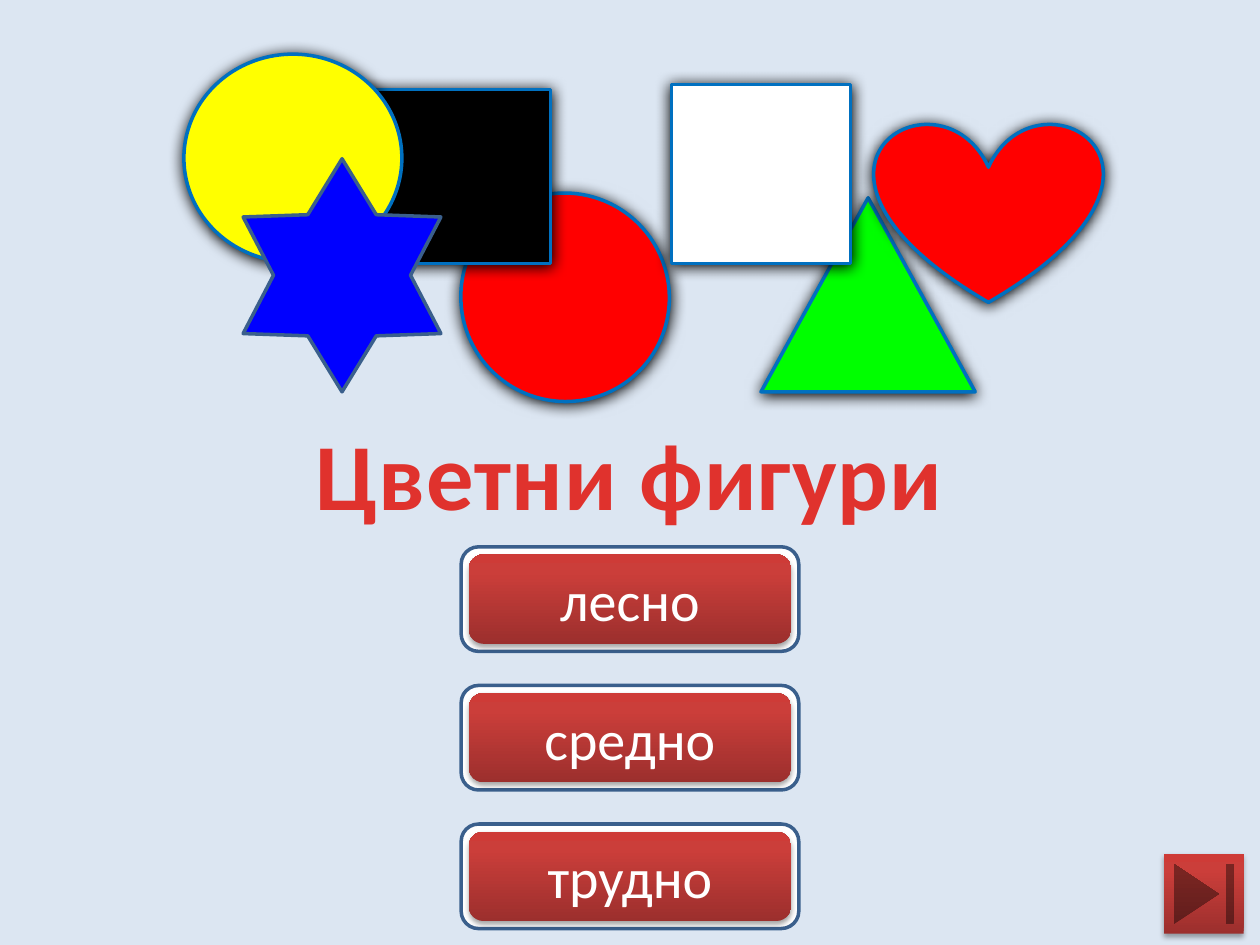
from pptx import Presentation
from pptx.dml import color
from pptx.enum import shapes, text
from pptx.oxml import ns, parse_xml
from pptx.util import Inches, Pt

KIND = shapes.MSO_SHAPE
DEEP = (100, 8.5, 1)
SOFT = (35, 3.1, 1.8)
REDS = ((0, "9C2F2D"), (80, "CB3E3A"), (100, "CE3B37"))


def rgb(code):
    return color.RGBColor.from_string(code)


def shade(shape, alpha, blur, dist):
    effects = shape._element.spPr.find(ns.qn("a:effectLst"))
    effects.append(parse_xml(
        f'<a:outerShdw {ns.nsdecls("a")} blurRad="{Pt(blur)}" dist="{Pt(dist)}" '
        f'dir="5400000" algn="ctr" rotWithShape="0"><a:srgbClr val="000000">'
        f'<a:alpha val="{alpha * 1000}"/></a:srgbClr></a:outerShdw>'))


def blend(shape):
    shape.fill.gradient()
    shape.fill.gradient_angle = 90
    stops = shape._element.spPr.find(".//" + ns.qn("a:gsLst"))
    stops.clear()
    for place, code in REDS:
        stops.append(parse_xml(
            f'<a:gs {ns.nsdecls("a")} pos="{place * 1000}">'
            f'<a:srgbClr val="{code}"/></a:gs>'))


def draw(home, kind, box, fill=None, line=None, shadow=None):
    shape = home.add_shape(kind, *map(Inches, box))
    shape.shadow.inherit = False
    if fill:
        shape.fill.solid()
        shape.fill.fore_color.rgb = rgb(fill)
    else:
        blend(shape)
    if line:
        shape.line.color.rgb = rgb(line)
        shape.line.width = Pt(2)
    else:
        shape.line.fill.background()
    if shadow:
        shade(shape, *shadow)
    return shape


def write(frame, words, size, code, bold=False):
    frame.vertical_anchor = text.MSO_ANCHOR.MIDDLE
    para = frame.paragraphs[0]
    para.alignment = text.PP_ALIGN.CENTER
    run = para.add_run()
    run.text = words
    run.font.name = "Calibri"
    run.font.size = Pt(size)
    run.font.bold = bold
    run.font.color.rgb = rgb(code)
    return run


def button(home, words, top):
    group = home.add_group_shape().shapes
    draw(group, KIND.ROUNDED_RECTANGLE, (3.66, top, 2.68, 0.83), "FFFFFF", "3A5F8C")
    face = draw(group, KIND.ROUNDED_RECTANGLE, (3.72, top + 0.06, 2.56, 0.71), shadow=SOFT)
    write(face.text_frame, words, 32, "FFFFFF")


def head(title, words):
    title.left, title.top, title.width, title.height = map(Inches, (2.38, 3.25, 5.23, 1.01))
    title.text_frame.word_wrap = False
    run = write(title.text_frame, words, 54, "E0322D", True)
    run._r.get_or_add_rPr().set("spc", "50")


def figures(home):
    blue = "0070C0"
    disc = draw(home, KIND.OVAL, (3.66, 1.53, 1.65, 1.66), "FF0000", blue, DEEP)
    disc.rotation = 315.5
    draw(home, KIND.RECTANGLE, (2.75, 0.71, 1.62, 1.38), "000000", blue, DEEP)
    draw(home, KIND.OVAL, (1.46, 0.43, 1.73, 1.65), "FFFF00", blue, DEEP)
    star = draw(home, KIND.STAR_6_POINT, (1.93, 1.26, 1.57, 1.85), "0000FF", "3A5F8C")
    star.adjustments[0] = 0.3
    draw(home, KIND.ISOSCELES_TRIANGLE, (6.04, 1.57, 1.7, 1.54), "00FF00", blue, DEEP)
    draw(home, KIND.RECTANGLE, (5.33, 0.67, 1.42, 1.42), "FFFFFF", blue, DEEP)
    draw(home, KIND.HEART, (6.94, 0.97, 1.81, 1.43), "FF0000", blue, DEEP)


def main():
    deck = Presentation()
    deck.slide_width, deck.slide_height = Inches(10), Inches(7.5)
    slide = deck.slides.add_slide(deck.slide_layouts[5])
    slide.background.fill.solid()
    slide.background.fill.fore_color.rgb = rgb("DCE6F2")
    home = slide.shapes
    figures(home)
    head(home.title, "Цветни фигури")
    for row, words in enumerate(("лесно", "средно", "трудно")):
        button(home, words, 4.34 + 1.1 * row)
    draw(home, KIND.ACTION_BUTTON_END, (9.24, 6.78, 0.63, 0.63), shadow=SOFT)
    deck.save("out.pptx")


if __name__ == "__main__":
    main()
